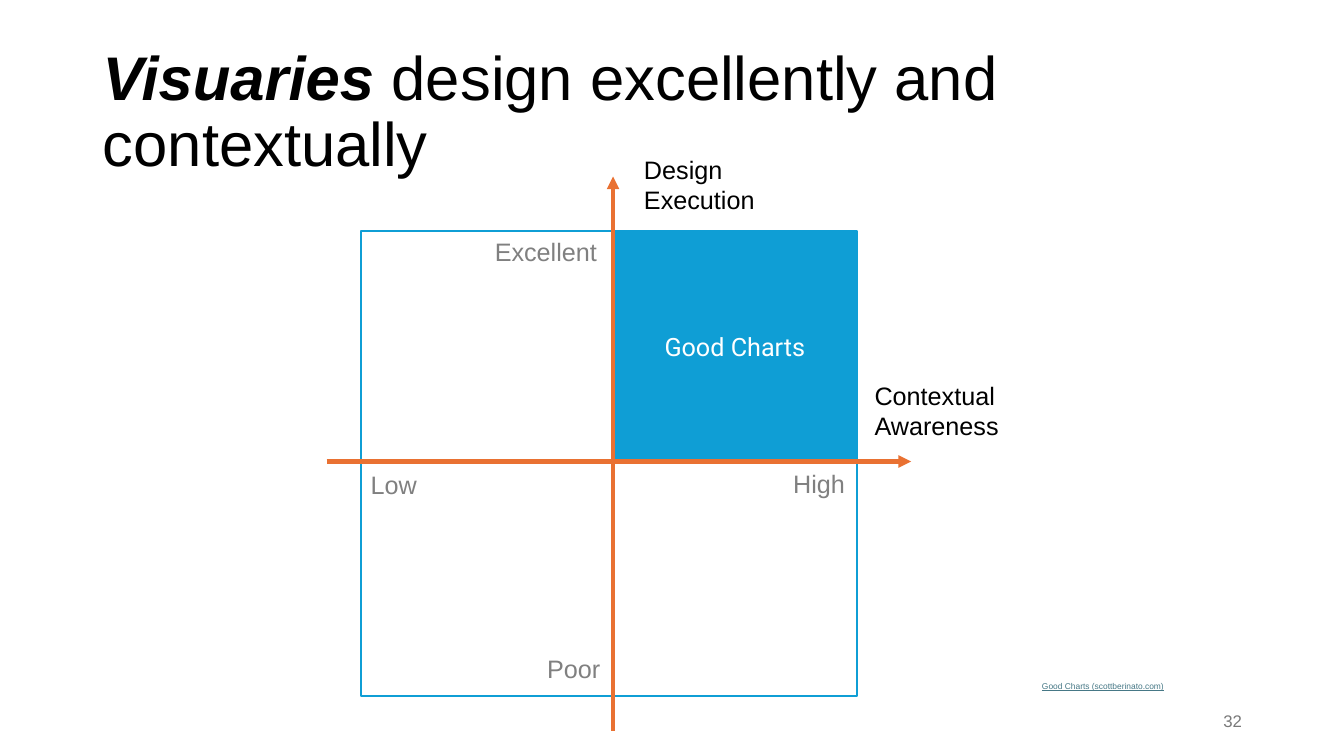
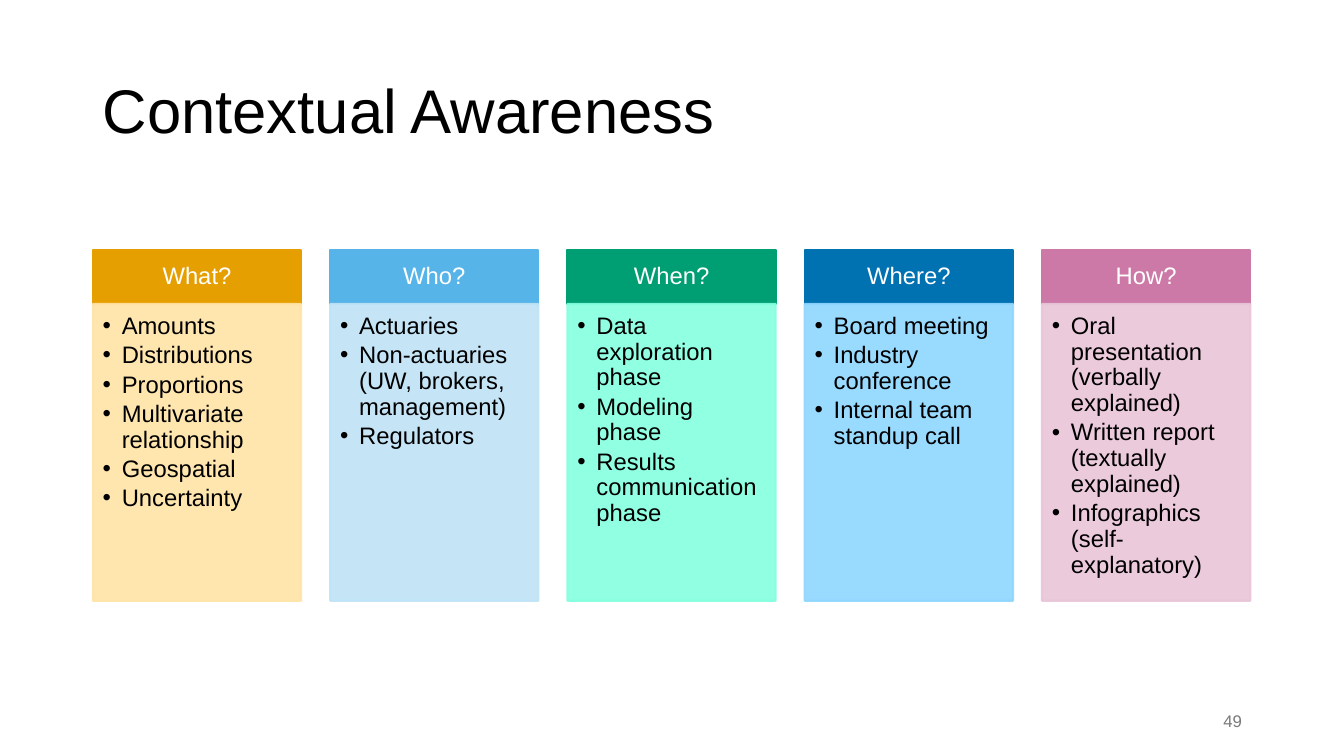
"""Build two slides: a chart quality quadrant and five context questions."""
from dataclasses import dataclass

from lxml import etree
from pptx import Presentation
from pptx.dml.color import RGBColor
from pptx.enum.shapes import MSO_CONNECTOR, MSO_SHAPE
from pptx.enum.text import MSO_ANCHOR, PP_ALIGN
from pptx.oxml.ns import qn
from pptx.util import Cm, Pt

RECTANGLE = MSO_SHAPE.RECTANGLE
STRAIGHT = MSO_CONNECTOR.STRAIGHT
TOP, MIDDLE = MSO_ANCHOR.TOP, MSO_ANCHOR.MIDDLE
LEFT, CENTER, RIGHT = PP_ALIGN.LEFT, PP_ALIGN.CENTER, PP_ALIGN.RIGHT


@dataclass(frozen=True)
class Theme:
    font: str = "Arial"
    accent_font: str = "Roboto"
    black: str = "000000"
    white: str = "FFFFFF"
    grey: str = "808080"
    number_grey: str = "797979"
    blue: str = "0F9ED5"
    orange: str = "E97132"
    link: str = "467886"
    title_size: float = 44
    label_size: float = 18
    column_size: float = 17
    number_size: float = 12
    credit_size: float = 6
    outline: float = 1.5
    axis: float = 3
    line_spacing: float = 0.9
    body_opacity: int = 90


THEME = Theme()

QUADRANT = {
    "lead": "Visuaries ",
    "title": "design excellently and contextually",
    "number": "32",
    "highlight": "Good Charts",
    "credit": "Good Charts (scottberinato.com)",
}
SCALE_LABELS = [
    ("High", 19.74, 11.68, 1.83),
    ("Low", 9.09, 11.71, 1.68),
    ("Poor", 13.54, 16.33, 1.85),
    ("Excellent", 12.22, 5.82, 3.12),
]
AXIS_LABELS = [
    ("Design Execution", 15.98, 3.76, 3.76, True),
    ("Contextual\nAwareness", 21.79, 9.45, 3.86, False),
]
FRAME = (9.09, 5.82, 12.5, 11.73)
ORIGIN = (15.45, 11.63)
AXIS_SPAN_X = (8.23, 22.96)
AXIS_SPAN_Y = (18.42, 4.45)

CONTEXT = {"title": "Contextual Awareness", "number": "49"}
COLUMNS = [
    ("What?", "E69F00", "FFE4A7", [
        "Amounts", "Distributions", "Proportions",
        "Multivariate relationship", "Geospatial", "Uncertainty"]),
    ("Who?", "56B4E9", "BFE3F7", [
        "Actuaries", "Non-actuaries (UW, brokers, management)", "Regulators"]),
    ("When?", "009E73", "85FFDF", [
        "Data exploration phase", "Modeling phase",
        "Results communication phase"]),
    ("Where?", "0072B2", "8FD7FF", [
        "Board meeting", "Industry conference", "Internal team standup call"]),
    ("How?", "CC79A7", "E9C5D9", [
        "Oral presentation (verbally explained)",
        "Written report (textually explained)",
        "Infographics (self-explanatory)"]),
]
COLUMN_LEFT, COLUMN_WIDTH, COLUMN_PITCH = 2.34, 5.25, 5.98
HEADER_TOP, HEADER_HEIGHT, BODY_HEIGHT = 6.3, 1.36, 7.48
HEADER_MARGINS = (0.33, 0.2, 0.33, 0.2)
BODY_MARGINS = (0.25, 0.25, 0.33, 0.38)
BULLET_INDENT = 0.48


def write(shape, text, size, color, align=LEFT, anchor=TOP, font=THEME.font,
          wrap=True, margins=None, spacing=None, after=None, bullet=False):
    frame = shape.text_frame
    frame.text = text
    frame.word_wrap = wrap
    frame.vertical_anchor = anchor
    if margins:
        (frame.margin_left, frame.margin_top,
         frame.margin_right, frame.margin_bottom) = map(Cm, margins)
    for paragraph in frame.paragraphs:
        if bullet:
            add_bullet(paragraph)
        paragraph.alignment = align
        if spacing:
            paragraph.line_spacing = spacing
        if after:
            paragraph.space_after = Pt(after)
        for run in paragraph.runs:
            style_run(run, size, color, font)


def style_run(run, size, color, font=THEME.font):
    run.font.size = Pt(size)
    run.font.name = font
    run.font.color.rgb = RGBColor.from_string(color)


def add_bullet(paragraph):
    properties = paragraph._p.get_or_add_pPr()
    properties.set("marL", str(Cm(BULLET_INDENT)))
    properties.set("indent", str(-Cm(BULLET_INDENT)))
    etree.SubElement(properties, qn("a:buFont"), typeface=THEME.font)
    etree.SubElement(properties, qn("a:buChar"), char="•")


def add_text(slide, box, text, size, color, **options):
    shape = slide.shapes.add_textbox(*map(Cm, box))
    write(shape, text, size, color, **options)
    return shape


def add_rectangle(slide, box, fill=None, line=None, opacity=None):
    shape = slide.shapes.add_shape(RECTANGLE, *map(Cm, box))
    shape.shadow.inherit = False
    if fill:
        shape.fill.solid()
        shape.fill.fore_color.rgb = RGBColor.from_string(fill)
    else:
        shape.fill.background()
    if line:
        shape.line.color.rgb = RGBColor.from_string(line)
        shape.line.width = Pt(THEME.outline)
    else:
        shape.line.fill.background()
    if opacity:
        for color in shape._element.spPr.iter(qn("a:srgbClr")):
            etree.SubElement(color, qn("a:alpha"), val=str(opacity * 1000))
    return shape


def add_axis(slide, start, end):
    axis = slide.shapes.add_connector(STRAIGHT, *map(Cm, start + end))
    axis.line.color.rgb = RGBColor.from_string(THEME.orange)
    axis.line.width = Pt(THEME.axis)
    etree.SubElement(axis.line._get_or_add_ln(), qn("a:tailEnd"), type="triangle")
    etree.SubElement(axis._element.spPr, qn("a:effectLst"))


def add_slide(presentation, title, number, lead=""):
    slide = presentation.slides.add_slide(presentation.slide_layouts[6])
    shape = add_text(slide, (2.34, 1.02, 29.21, 3.68), lead or title,
                     THEME.title_size, THEME.black, anchor=MIDDLE,
                     spacing=THEME.line_spacing)
    if lead:
        paragraph = shape.text_frame.paragraphs[0]
        paragraph.runs[0].font.bold = True
        paragraph.runs[0].font.italic = True
        rest = paragraph.add_run()
        rest.text = title
        style_run(rest, THEME.title_size, THEME.black)
    add_text(slide, (23.93, 17.65, 7.62, 1.02), number, THEME.number_size,
             THEME.number_grey, align=RIGHT, anchor=MIDDLE)
    return slide


def build_quadrant(presentation):
    slide = add_slide(presentation, QUADRANT["title"], QUADRANT["number"],
                      QUADRANT["lead"])
    left, top, width, height = FRAME
    origin_x, origin_y = ORIGIN
    add_rectangle(slide, FRAME, line=THEME.blue)
    highlight = add_rectangle(
        slide, (origin_x, top, left + width - origin_x, origin_y - top),
        fill=THEME.blue)
    write(highlight, QUADRANT["highlight"], THEME.label_size, THEME.white,
          align=CENTER, anchor=MIDDLE, font=THEME.accent_font)
    add_axis(slide, (AXIS_SPAN_X[0], origin_y), (AXIS_SPAN_X[1], origin_y))
    add_axis(slide, (origin_x, AXIS_SPAN_Y[0]), (origin_x, AXIS_SPAN_Y[1]))
    for text, x, y, label_width in SCALE_LABELS:
        add_text(slide, (x, y, label_width, 1.02), text, THEME.label_size,
                 THEME.grey, wrap=False)
    for text, x, y, label_width, wrap in AXIS_LABELS:
        add_text(slide, (x, y, label_width, 1.8), text, THEME.label_size,
                 THEME.black, wrap=wrap)
    credit = add_text(slide, (26.01, 17.04, 3.76, 0.51), QUADRANT["credit"],
                      THEME.credit_size, THEME.link)
    credit.text_frame.paragraphs[0].runs[0].font.underline = True


def build_context(presentation):
    slide = add_slide(presentation, CONTEXT["title"], CONTEXT["number"])
    for index, (question, strong, pale, answers) in enumerate(COLUMNS):
        x = COLUMN_LEFT + index * COLUMN_PITCH
        header = add_rectangle(
            slide, (x, HEADER_TOP, COLUMN_WIDTH, HEADER_HEIGHT), strong, strong)
        write(header, question, THEME.column_size, THEME.white, align=CENTER,
              anchor=MIDDLE, margins=HEADER_MARGINS, spacing=THEME.line_spacing)
        body = add_rectangle(
            slide, (x, HEADER_TOP + HEADER_HEIGHT, COLUMN_WIDTH, BODY_HEIGHT),
            pale, pale, THEME.body_opacity)
        write(body, "\n".join(answers), THEME.column_size, THEME.black,
              margins=BODY_MARGINS, spacing=THEME.line_spacing,
              after=THEME.column_size * 0.15, bullet=True)


def main():
    presentation = Presentation()
    presentation.slide_width = Cm(33.87)
    presentation.slide_height = Cm(19.05)
    build_quadrant(presentation)
    build_context(presentation)
    presentation.save("out.pptx")


if __name__ == "__main__":
    main()
